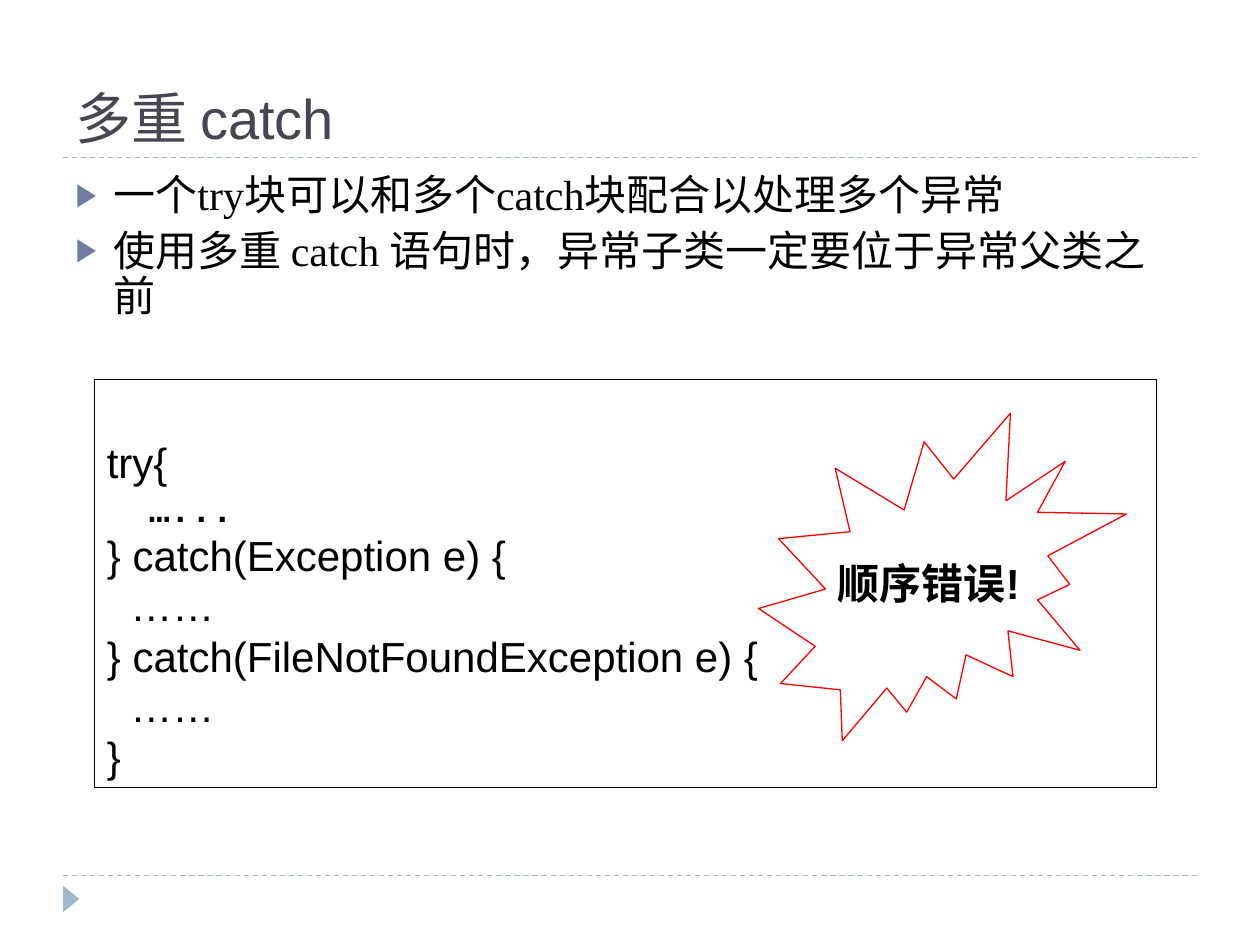
import pptx
import pptx.dml.color
import pptx.enum.dml
import pptx.enum.shapes
import pptx.enum.text
import pptx.oxml
import pptx.oxml.ns
import pptx.util
from lxml import etree

COLORS = {"title": "464653", "text": "000000", "bullet": "727CA3", "rule": "9FB8CD",
          "paper": "FFFFFF", "alert": "FF0000"}
COLUMNS, ROWS = 100, 75
ANCHOR = pptx.enum.text.MSO_ANCHOR
ALIGN = pptx.enum.text.PP_ALIGN
SHAPE = pptx.enum.shapes.MSO_SHAPE


def rgb(name):
    """Return the named palette colour."""
    return pptx.dml.color.RGBColor.from_string(COLORS[name])


def write(p, text, size=24, font="Arial", color="text", bold=False, align=ALIGN.LEFT, indent=0):
    """Add one formatted run to a paragraph."""
    p.alignment = align
    if indent:
        p._p.get_or_add_pPr().set("marL", str(pptx.util.Pt(indent)))
    r = p.add_run()
    r.text = text
    r.font.size, r.font.name, r.font.bold = pptx.util.Pt(size), font, bold
    r.font.color.rgb = rgb(color)


class SlideBuilder:
    """Hold the grid, the style and the current slide."""

    def __init__(self, prs):
        """Start a title and content slide."""
        self.col, self.row = prs.slide_width / COLUMNS, prs.slide_height / ROWS
        self.slide = prs.slides.add_slide(prs.slide_layouts[1])

    def box(self, left, top, width, height):
        """Turn grid units into lengths."""
        return (round(left * self.col), round(top * self.row),
                round(width * self.col), round(height * self.row))

    def frame(self, sp, anchor, wrap=True):
        """Prepare the text frame of a shape."""
        tf = sp.text_frame
        tf.auto_size = pptx.enum.text.MSO_AUTO_SIZE.NONE
        tf.vertical_anchor, tf.word_wrap = anchor, wrap
        return tf

    def place(self, sp, box):
        """Move a placeholder onto the grid."""
        sp.left, sp.top, sp.width, sp.height = self.box(*box)

    def title(self, text, box):
        """Fill the title placeholder."""
        sp = self.slide.shapes.title
        self.place(sp, box)
        write(self.frame(sp, ANCHOR.BOTTOM).paragraphs[0], text, size=32, color="title")

    def bullets(self, items, box):
        """Fill the body placeholder with a bulleted list."""
        sp = self.slide.placeholders[1]
        self.place(sp, box)
        tf = self.frame(sp, ANCHOR.TOP)
        for i, item in enumerate(items):
            p = tf.add_paragraph() if i else tf.paragraphs[0]
            p.line_spacing, p.space_before = 0.9, pptx.util.Pt(6)
            write(p, item, font="Times New Roman")
            pPr = p._p.get_or_add_pPr()
            pPr.set("marL", str(round(3 * self.col)))
            pPr.set("indent", str(round(-3 * self.col)))
            color = etree.SubElement(pPr, pptx.oxml.ns.qn("a:buClr"))
            etree.SubElement(color, pptx.oxml.ns.qn("a:srgbClr"), val=COLORS["bullet"])
            etree.SubElement(pPr, pptx.oxml.ns.qn("a:buSzPct"), val="76000")
            etree.SubElement(pPr, pptx.oxml.ns.qn("a:buChar"), char="▶")

    def shape(self, kind, box, fill="paper", line=None, rotation=0):
        """Add a flat preset shape."""
        sp = self.slide.shapes.add_shape(kind, *self.box(*box))
        sp.shadow.inherit = False
        sp.rotation = rotation
        sp.fill.solid()
        sp.fill.fore_color.rgb = rgb(fill)
        if line:
            sp.line.color.rgb, sp.line.width = rgb(line), pptx.util.Pt(0.75)
        else:
            sp.line.fill.background()
        return sp

    def code(self, lines, box):
        """Add a framed listing of (text, format) lines."""
        tf = self.frame(self.shape(SHAPE.RECTANGLE, box, line="text"), ANCHOR.BOTTOM)
        for i, (text, style) in enumerate(lines):
            write(tf.add_paragraph() if i else tf.paragraphs[0], text, **style)

    def burst(self, text, box):
        """Add a starburst callout."""
        sp = self.shape(SHAPE.EXPLOSION2, box, line="alert")
        tf = self.frame(sp, ANCHOR.MIDDLE, wrap=False)
        write(tf.paragraphs[0], text, bold=True, align=ALIGN.CENTER)

    def rule(self, top):
        """Add a dashed rule between the margins."""
        left, y, width, _ = self.box(5, top, 90, 0)
        sp = self.slide.shapes.add_connector(
            pptx.enum.shapes.MSO_CONNECTOR.STRAIGHT, left, y, left + width, y)
        sp.line.color.rgb, sp.line.width = rgb("rule"), pptx.util.Pt(0.75)
        sp.line.dash_style = pptx.enum.dml.MSO_LINE.DASH
        etree.SubElement(sp._element.spPr, pptx.oxml.ns.qn("a:effectLst"))


def main():
    """Build and save the slide."""
    prs = pptx.Presentation()
    prs.slide_width, prs.slide_height = pptx.util.Inches(10), pptx.util.Inches(7.5)
    s = SlideBuilder(prs)
    for top in (69.5, 12.5):
        s.rule(top)
    s.shape(SHAPE.ISOSCELES_TRIANGLE, (4.6, 70.7, 2.1, 1.3), fill="rule", rotation=90)
    s.title("多重 catch", (5, 1.7, 90, 10.8))
    s.bullets(["一个try块可以和多个catch块配合以处理多个异常",
               "使用多重 catch 语句时，异常子类一定要位于异常父类之前"], (5, 13.3, 90, 53.7))
    body = {"indent": 13.5}
    s.code([("try{", {}),
            ("…...", {"size": 20, "font": "Courier New", "bold": True, "indent": 24}),
            ("} catch(Exception e) {", {}),
            ("……", body),
            ("} catch(FileNotFoundException e) {", {}),
            ("……", body),
            ("}", {})], (7.5, 30.1, 84.3, 32.4))
    s.burst("顺序错误!", (60.2, 32.8, 29.2, 26))
    prs.save("out.pptx")


if __name__ == "__main__":
    main()
